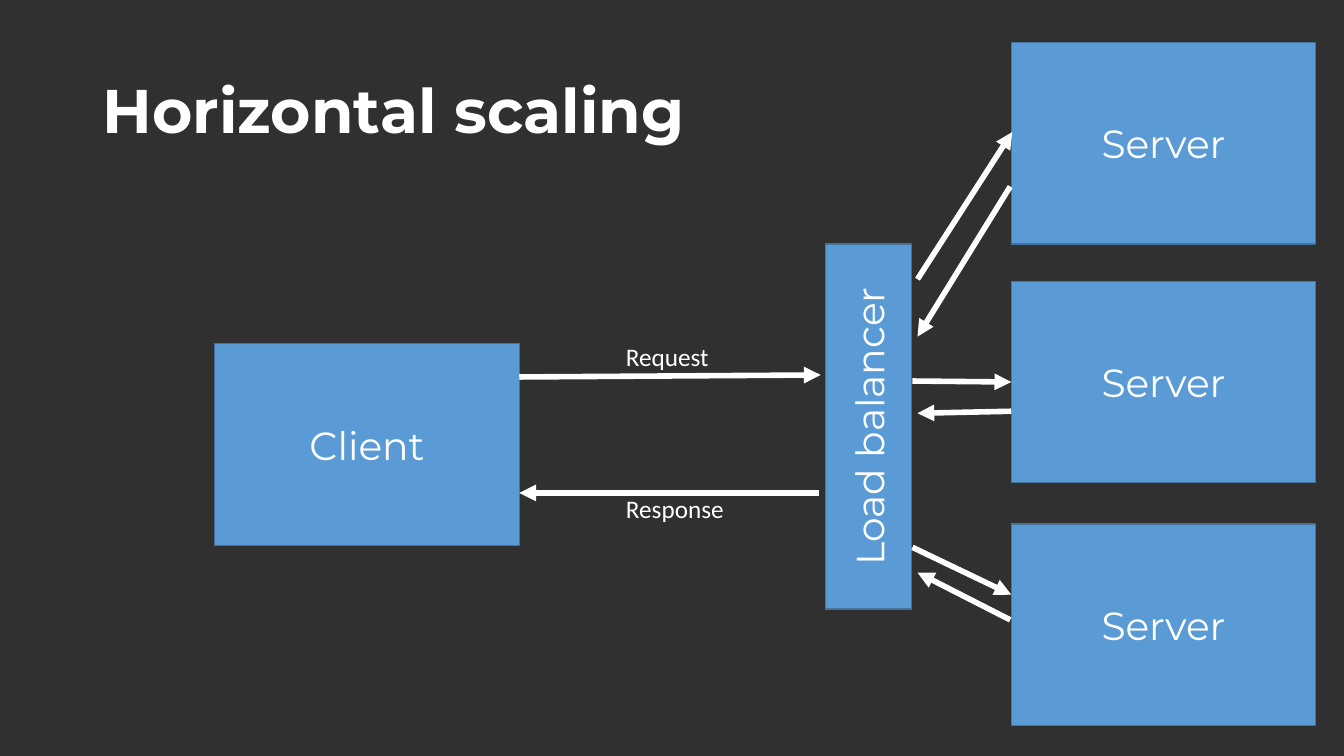
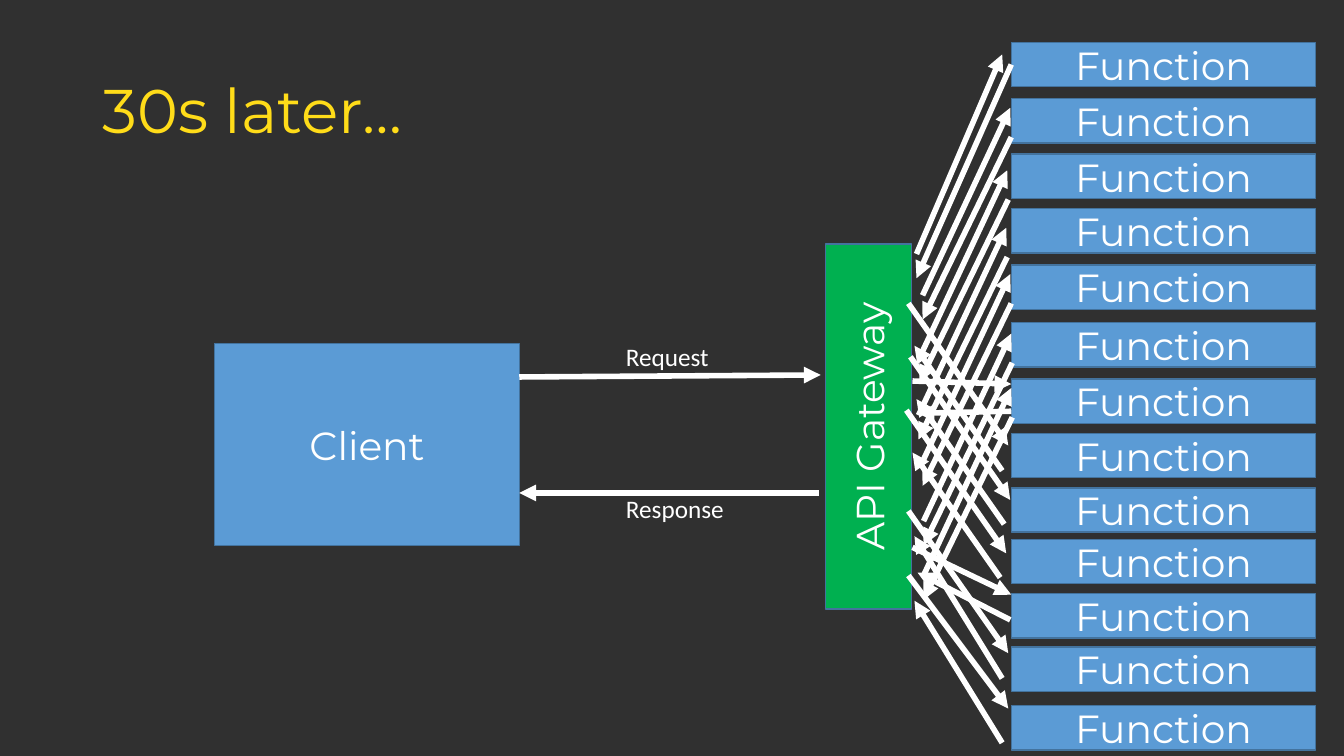
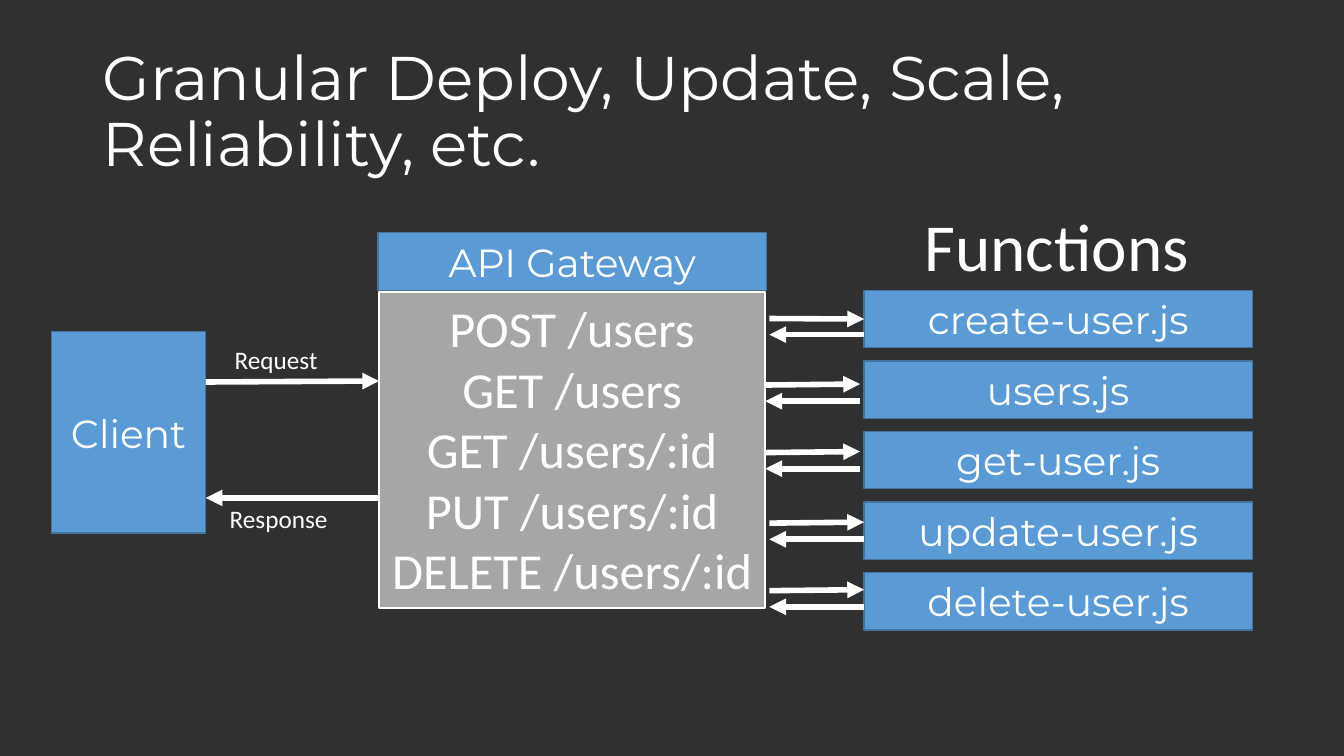
from pptx import Presentation
from pptx.dml.color import RGBColor
from pptx.enum.shapes import MSO_CONNECTOR, MSO_SHAPE
from pptx.enum.text import MSO_ANCHOR, MSO_AUTO_SIZE, PP_ALIGN
from pptx.oxml.ns import qn
from pptx.util import Inches, Pt
from lxml.etree import SubElement

COLORS = {
    "background": "303030",
    "white": "FFFFFF",
    "yellow": "FFDC19",
    "blue": "5B9BD5",
    "outline": "43739E",
    "green": "00B050",
    "gray": "A6A6A6",
}
HEADING_FONT = "Montserrat"
BODY_FONT = "Calibri"
LEFT_SIDE = 1

SERVER_LEFT, SERVER_WIDTH = 10.03, 3.02
SERVER_TOPS = [0.42, 2.79, 5.2]
FUNCTION_TOPS = [0.42, 0.98, 1.53, 2.07, 2.63, 3.2, 3.76,
                 4.3, 4.84, 5.35, 5.89, 6.42, 7]
RISING_STARTS = [(9.15, 2.93), (9.12, 3.55), (9.11, 4.12),
                 (9.15, 4.58), (9.16, 5.17), (9.16, 5.71)]
# Start of the call, its fall, and how far below the start the reply lands
FALLING_CALLS = [((9.01, 5.71), 1.32, 0.25), ((9.01, 5.07), 1.41, 0.25),
                 ((8.99, 4.07), 1.42, 0.42), ((9.03, 3.54), 1.42, 0.42),
                 ((9.01, 3.01), 1.41, 0.42)]
ROUTES = ["POST /users", "GET /users", "GET /users/:id",
          "PUT /users/:id", "DELETE /users/:id"]
FILES = ["create-user.js", "users.js", "get-user.js",
         "update-user.js", "delete-user.js"]
FILE_CALL_STARTS = [(7.63, 3.16), (7.59, 3.82), (7.59, 4.49),
                    (7.63, 5.19), (7.63, 5.86)]


def color(name):
    return RGBColor.from_string(COLORS[name])


def add_run(paragraph, text, size, font=HEADING_FONT, color_name="white", bold=False):
    run = paragraph.add_run()
    run.text = text
    run.font.size = Pt(size)
    run.font.name = font
    run.font.bold = bold
    run.font.color.rgb = color(color_name)


def add_title_slide(presentation, title, color_name="white", bold=False):
    """Add a blank slide that carries the shared title style."""
    slide = presentation.slides.add_slide(presentation.slide_layouts[6])
    box = slide.shapes.add_textbox(Inches(0.92), Inches(0.4), Inches(11.5), Inches(1.45))
    frame = box.text_frame
    frame.word_wrap = True
    frame.vertical_anchor = MSO_ANCHOR.MIDDLE
    paragraph = frame.paragraphs[0]
    paragraph.line_spacing = 0.9
    add_run(paragraph, title, 44, HEADING_FONT, color_name, bold)
    return slide


def add_box(slide, left, top, width, height, lines, fill="blue", outline="outline",
            line_width=1, size=28, font=HEADING_FONT, vertical=False):
    shape = slide.shapes.add_shape(MSO_SHAPE.RECTANGLE, Inches(left), Inches(top),
                                   Inches(width), Inches(height))
    shape.shadow.inherit = False
    shape.fill.solid()
    shape.fill.fore_color.rgb = color(fill)
    shape.line.color.rgb = color(outline)
    shape.line.width = Pt(line_width)
    frame = shape.text_frame
    frame.word_wrap = True
    frame.vertical_anchor = MSO_ANCHOR.MIDDLE
    if vertical:
        frame._txBody.bodyPr.set("vert", "vert270")
    for index, line in enumerate(lines):
        paragraph = frame.add_paragraph() if index else frame.paragraphs[0]
        paragraph.alignment = PP_ALIGN.CENTER
        add_run(paragraph, line, size, font)
    return shape


def add_label(slide, left, top, width, height, text, size=18):
    box = slide.shapes.add_textbox(Inches(left), Inches(top), Inches(width), Inches(height))
    frame = box.text_frame
    frame.word_wrap = False
    frame.auto_size = MSO_AUTO_SIZE.SHAPE_TO_FIT_TEXT
    add_run(frame.paragraphs[0], text, size, BODY_FONT)


def add_arrow(slide, start, end, start_shape=None, end_shape=None):
    """Draw an arrow; a given shape is joined at the middle of its left side."""
    connector = slide.shapes.add_connector(
        MSO_CONNECTOR.STRAIGHT, *(Inches(length) for length in (*start, *end)))
    if start_shape is not None:
        connector.begin_connect(start_shape, LEFT_SIDE)
    if end_shape is not None:
        connector.end_connect(end_shape, LEFT_SIDE)
    connector.line.color.rgb = color("white")
    connector.line.width = Pt(4)
    SubElement(connector.line._get_or_add_ln(), qn("a:tailEnd"), type="triangle")
    SubElement(connector._element.spPr, qn("a:effectLst"))


def add_call(slide, start, call_end, reply_start, reply_end, end_shape=None):
    """Draw a call and its reply; the last three points are offsets from start."""
    def point(offset):
        return start[0] + offset[0], start[1] + offset[1]

    add_arrow(slide, start, point(call_end), end_shape=end_shape)
    add_arrow(slide, point(reply_start), point(reply_end))


def add_client_and_hub(slide, hub_name, hub_fill="blue"):
    add_box(slide, 2.13, 3.41, 3.02, 2, ["Client"])
    add_box(slide, 8.19, 2.42, 0.85, 3.62, [hub_name], fill=hub_fill, vertical=True)
    add_arrow(slide, (5.15, 3.74), (8.14, 3.72))
    add_arrow(slide, (8.12, 4.89), (5.15, 4.89))
    add_label(slide, 6.11, 3.34, 1.03, 0.4, "Request")
    add_label(slide, 6.11, 4.84, 1.18, 0.4, "Response")


def add_server_column(slide, tops, height, text):
    return [add_box(slide, SERVER_LEFT, top, SERVER_WIDTH, height, [text]) for top in tops]


def add_middle_and_lower_calls(slide, middle_server=None):
    add_call(slide, (9.05, 3.78), (0.98, 0.03), (0.98, 0.3), (0.05, 0.32), middle_server)
    add_call(slide, (9.05, 5.43), (0.98, 0.47), (0.97, 0.72), (0.05, 0.25))


def build_horizontal_scaling(presentation):
    slide = add_title_slide(presentation, "Horizontal scaling", bold=True)
    add_client_and_hub(slide, "Load balancer")
    servers = add_server_column(slide, SERVER_TOPS, 2, "Server")
    add_call(slide, (9.1, 2.77), (0.94, -1.46), (0.92, -0.92), (0, 0.57))
    add_middle_and_lower_calls(slide, servers[1])


def build_thirty_seconds_later(presentation):
    slide = add_title_slide(presentation, "30s later…", "yellow")
    add_client_and_hub(slide, "API Gateway", "green")
    functions = add_server_column(slide, FUNCTION_TOPS, 0.44, "Function")
    add_arrow(slide, (9.09, 2.52), (9.94, 0.54))
    add_arrow(slide, (10.03, 0.64), (9.09, 2.76), start_shape=functions[0])
    add_middle_and_lower_calls(slide)
    for start in RISING_STARTS:
        add_call(slide, start, (0.87, -1.86), (0.88, -1.57), (0, 0.24))
    for start, fall, reply_drop in FALLING_CALLS:
        add_call(slide, start, (0.99, fall), (0.93, 1.66), (0.06, reply_drop))


def build_granular_deploy(presentation):
    slide = add_title_slide(presentation, "Granular Deploy, Update, Scale, Reliability, etc.")
    add_box(slide, 0.51, 3.29, 1.53, 2, ["Client"])
    add_arrow(slide, (2.04, 3.79), (3.76, 3.78))
    add_arrow(slide, (3.76, 4.94), (2.04, 4.94))
    add_label(slide, 2.23, 3.37, 1.03, 0.4, "Request")
    add_label(slide, 2.18, 4.94, 1.18, 0.4, "Response")
    add_box(slide, 3.75, 2.31, 3.85, 0.57, ["API Gateway"])
    routes = add_box(slide, 3.76, 2.9, 3.83, 3.13, ROUTES, fill="gray", outline="white",
                     line_width=1.5, size=36, font=BODY_FONT)
    routes.text_frame.vertical_anchor = MSO_ANCHOR.TOP
    routes.text_frame.auto_size = MSO_AUTO_SIZE.SHAPE_TO_FIT_TEXT
    files = [add_box(slide, 8.57, 2.88 + 0.7 * index, 3.85, 0.57, [name])
             for index, name in enumerate(FILES)]
    for index, start in enumerate(FILE_CALL_STARTS):
        add_call(slide, start, (0.94, -0.01), (0.94, 0.16), (0, 0.16),
                 end_shape=files[0] if index == 0 else None)
    add_label(slide, 9.07, 1.98, 2.86, 0.91, "Functions", size=48)


def main():
    presentation = Presentation()
    presentation.slide_width = Inches(13.33)
    presentation.slide_height = Inches(7.5)
    background = presentation.slide_master.background.fill
    background.solid()
    background.fore_color.rgb = color("background")
    build_horizontal_scaling(presentation)
    build_thirty_seconds_later(presentation)
    build_granular_deploy(presentation)
    presentation.save("out.pptx")


if __name__ == "__main__":
    main()
